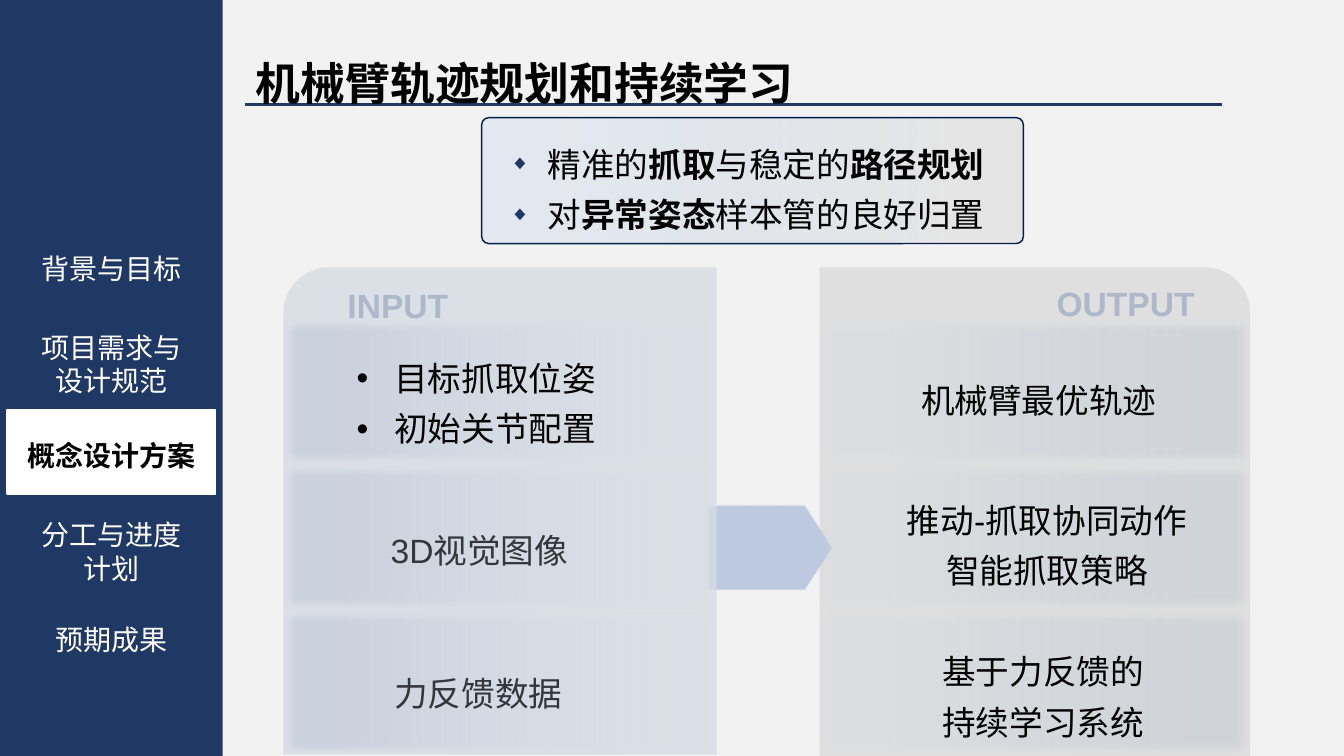
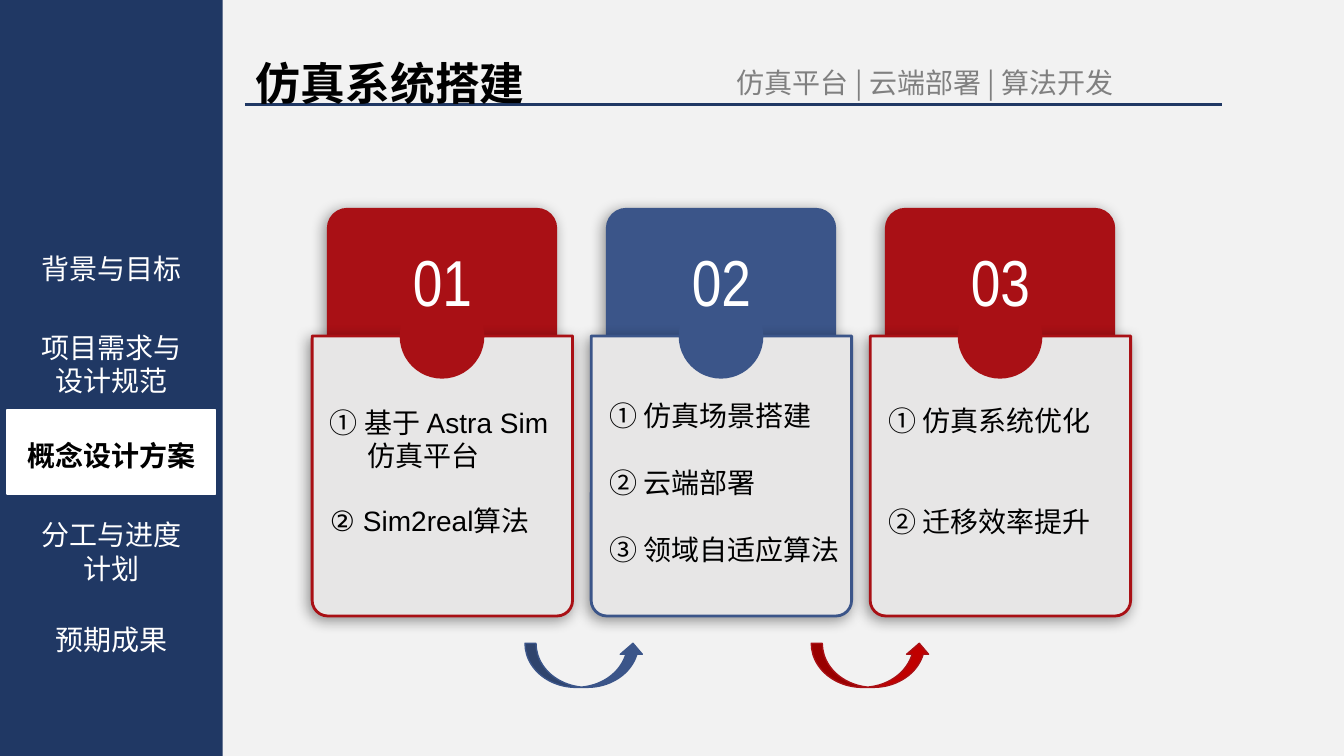
import lxml.etree
import pptx
import pptx.dml.color
import pptx.enum.shapes
import pptx.enum.text
import pptx.oxml.ns

Pt = pptx.util.Pt
RGB = pptx.dml.color.RGBColor
SHAPE = pptx.enum.shapes.MSO_SHAPE
ALIGN = pptx.enum.text.PP_ALIGN
qn = pptx.oxml.ns.qn
sub = lxml.etree.SubElement

NAVY = RGB(0x20, 0x38, 0x64)
DEEP = RGB(0x00, 0x20, 0x4C)
BLUE = RGB(0x3B, 0x55, 0x89)
SKY = RGB(0xB4, 0xC7, 0xE7)
ARROW = RGB(0xBD, 0xCA, 0xDF)
STEEL = RGB(0xAD, 0xB9, 0xCA)
PALE = RGB(0xD6, 0xDC, 0xE5)
RED = RGB(0xA9, 0x10, 0x15)
BRIGHT_RED = RGB(0xC0, 0x00, 0x00)
SILVER = RGB(0xDB, 0xDB, 0xDB)
CARD = RGB(0xE7, 0xE6, 0xE6)
BACK = RGB(0xF2, 0xF2, 0xF2)
GREY = RGB(0x80, 0x80, 0x80)
DIM = RGB(0x33, 0x37, 0x3C)
BLACK = RGB(0, 0, 0)
WHITE = RGB(255, 255, 255)
CJK = "Noto Sans CJK SC"


def panel(s, kind, box, fills, line=None, width=1, adj=(), soft=0, shadow=False):
    """Add a shape; fills holds one or two (colour, opacity in percent) pairs."""
    sp = s.shapes.add_shape(kind, *[Pt(v) for v in box])
    for i, value in enumerate(adj):
        sp.adjustments[i] = value
    if len(fills) == 1:
        sp.fill.solid()
        sp.fill.fore_color.rgb = fills[0][0]
    else:
        sp.fill.gradient()
        sp.fill.gradient_angle = 0
        for stop, (color, _), pos in zip(sp.fill.gradient_stops, fills, (0.14, 0.86)):
            stop.color.rgb = color
            stop.position = pos
    for clr, (_, opacity) in zip(list(sp.element.spPr.iter(qn("a:srgbClr"))), fills):
        if opacity < 100:
            sub(clr, qn("a:alpha"), val=str(opacity * 1000))
    if line is None:
        sp.line.fill.background()
    else:
        sp.line.color.rgb = line
        sp.line.width = Pt(width)
    sp.shadow.inherit = False
    effects = sp.element.spPr.find(qn("a:effectLst"))
    if shadow:
        outer = sub(effects, qn("a:outerShdw"), blurRad=str(Pt(10)), dist=str(Pt(3)),
                    dir="8100000", algn="tr", rotWithShape="0")
        clr = sub(outer, qn("a:srgbClr"), val="000000")
        sub(clr, qn("a:alpha"), val="40000")
    if soft:
        sub(effects, qn("a:softEdge"), rad=str(Pt(soft)))
    return sp


def write(s, box, paras, size=24, color=BLACK, pitch=36, font="Arial", bold=False,
          align=ALIGN.LEFT, hang=0, bullet=None, gap=0, ph=None):
    """Fill a placeholder (or a new text box); *stars* switch bold."""
    box = [Pt(v) for v in box]
    if ph is None:
        sp = s.shapes.add_textbox(*box)
    else:
        sp = s.placeholders[ph]
        sp.left, sp.top, sp.width, sp.height = box
        s.shapes.element.append(sp.element)
    tf = sp.text_frame
    tf.word_wrap = True
    tf.auto_size = pptx.enum.text.MSO_AUTO_SIZE.NONE
    tf.vertical_anchor = pptx.enum.text.MSO_ANCHOR.MIDDLE
    for i, text in enumerate(paras):
        p = tf.add_paragraph() if i else tf.paragraphs[0]
        pPr = p._p.get_or_add_pPr()
        pPr.set("marL", str(Pt(hang)))
        pPr.set("indent", str(-Pt(hang)))
        if bullet:
            char, clr, percent = bullet
            sub(sub(pPr, qn("a:buClr")), qn("a:srgbClr"), val=str(clr))
            sub(pPr, qn("a:buSzPct"), val=str(percent * 1000))
            sub(pPr, qn("a:buFont"), typeface="Arial")
            sub(pPr, qn("a:buChar"), char=char)
        else:
            sub(pPr, qn("a:buNone"))
        p.alignment = align
        p.line_spacing = Pt(pitch)
        p.space_before = Pt(gap if i else 0)
        p.space_after = Pt(0)
        for j, part in enumerate(text.split("*")):
            if part:
                r = p.add_run()
                r.text = part
                r.font.size = Pt(size)
                r.font.name = font
                r.font.bold = bold or j % 2 == 1
                r.font.color.rgb = color
                sub(r.font._element, qn("a:ea"), typeface=CJK)


prs = pptx.Presentation()
prs.slide_width, prs.slide_height = Pt(960), Pt(540)
bg = prs.slide_master.background.fill
bg.solid()
bg.fore_color.rgb = BACK

# Layout with a title and four bodies; its footers are not needed
layout = prs.slide_layouts[4]
for sp in list(layout.placeholders):
    if sp.placeholder_format.idx >= 10:
        layout.shapes.element.remove(sp.element)

# Slides with title and side navigation
NAV = [  # lines, middle, width
    (["背景与目标"], 191.5, 132),
    (["项目需求与", "设计规范"], 260, 132),
    (["概念设计方案"], 325, 146),
    (["分工与进度计划"], 394, 132),
    (["预期成果"], 457, 132),
]
CURRENT = 2
for title, width in (("机械臂轨迹规划和持续学习", 426), ("仿真系统搭建", 242)):
    s = prs.slides.add_slide(layout)
    write(s, (175.5, 33, width, 50), [title], 32, pitch=40, font=CJK, bold=True, ph=0)
    for i, (lines, middle, width) in enumerate(NAV):
        write(s, (79.5 - width / 2, middle - 28, width, 56), lines, 20,
              BLACK if i == CURRENT else WHITE, 24, CJK, i == CURRENT, ALIGN.CENTER)
plan, sim = prs.slides

# Band, marker and title rule belong to the layout
band = panel(plan, SHAPE.RECTANGLE, (0, 0, 159, 540), [(NAVY, 100)])
marker = panel(plan, SHAPE.RECTANGLE, (5, 293, 149, 60), [(WHITE, 100)], WHITE)
rule = plan.shapes.add_connector(pptx.enum.shapes.MSO_CONNECTOR.STRAIGHT,
                                 Pt(175), Pt(74.5), Pt(873), Pt(74.5))
rule.line.color.rgb = NAVY
rule.line.width = Pt(2.25)
sub(rule.element.spPr, qn("a:effectLst"))
for sp in (band, marker, rule):
    layout.shapes.element.append(sp.element)

# Slide 1: goal box, output panel, arrow, input panel
panel(plan, SHAPE.ROUNDED_RECTANGLE, (344, 84, 387, 90), [(SKY, 22), (SILVER, 51)],
      DEEP, adj=[0.058])
panel(plan, SHAPE.ROUND_1_RECTANGLE, (585.5, 191, 307.5, 349), [(SILVER, 80)], adj=[0.105])
panel(plan, SHAPE.PENTAGON, (506, 361, 89, 60), [(ARROW, 100)], PALE, adj=[0.33], soft=1)
sp = panel(plan, SHAPE.ROUND_1_RECTANGLE, (202.5, 191, 309.5, 348), [(PALE, 80)], adj=[0.105])
sp.element.spPr.xfrm.set("flipH", "1")
for left, fills in ((202.5, [(STEEL, 36), (PALE, 12)]), (587, [(PALE, 37), (STEEL, 28)])):
    for row in range(3):
        panel(plan, SHAPE.ROUNDED_RECTANGLE, (left, 228 + 104 * row, 306, 104), fills,
              adj=[0.048], soft=5)

# Slide 1: labels and lists
write(plan, (241, 194, 181, 40), ["INPUT"], color=STEEL, bold=True, ph=1)
write(plan, (747.5, 193, 151, 40), ["OUTPUT"], color=STEEL, bold=True, ph=3)
write(plan, (357, 93.5, 363, 76),
      ["精准的*抓取*与稳定的*路径规划*", "对*异常姿态*样本管的良好归置"],
      hang=27, bullet=("◆", NAVY, 60), ph=4)
write(plan, (247.5, 246.5, 212, 76), ["目标抓取位姿", "初始关节配置"],
      hang=27, bullet=("•", BLACK, 100), ph=2)
write(plan, (272, 369, 181, 40), ["3D视觉图像"], color=DIM)
write(plan, (274.5, 471.5, 181, 40), ["力反馈数据"], color=DIM)
write(plan, (641, 262, 202, 40), ["机械臂最优轨迹"], align=ALIGN.CENTER)
write(plan, (636.5, 347.5, 222.5, 76), ["推动-抓取协同动作智能抓取策略"], align=ALIGN.CENTER)
write(plan, (666, 456, 181, 76), ["基于力反馈的持续学习系统"])

# Slide 2: subtitle and three cards
write(sim, (519, 43, 410, 31), ["仿真平台 | 云端部署 | 算法开发"], 20, GREY, 24, CJK, ph=1)
CARDS = [  # colour, list top, list height, gap, items
    (RED, 286, 101, 22, ["① 基于 Astra Sim仿真平台", "② Sim2real算法"]),
    (BLUE, 281, 127, 24, ["① 仿真场景搭建", "② 云端部署", "③ 领域自适应算法"]),
    (RED, 285, 103, 48, ["① 仿真系统优化", "② 迁移效率提升"]),
]
for i, (color, top, height, gap, items) in enumerate(CARDS):
    x = 223 + 199.3 * i
    panel(sim, SHAPE.ROUNDED_RECTANGLE, (x + 11, 149, 163.5, 150.5), [(color, 100)], color,
          adj=[0.093], shadow=True)
    panel(sim, SHAPE.ROUND_2_SAME_RECTANGLE, (x, 240, 186, 200), [(CARD, 100)], color, 2,
          adj=[0, 0.06], shadow=True)
    panel(sim, SHAPE.OVAL, (x + 62.5, 210, 60.5, 60.5), [(color, 100)])
    write(sim, (x + 44, 169, 98, 64), [f"0{i + 1}"], 46.4, WHITE, 54, "Arial Narrow",
          align=ALIGN.CENTER)
    write(sim, (x + 5.5, top, 185, height), items, 20, pitch=24, hang=27, gap=gap, ph=i + 2)

# Slide 2: arrows between the cards
for left, fill, line in ((375, BLUE, BLUE), (579.5, BRIGHT_RED, RED)):
    panel(sim, SHAPE.CURVED_UP_ARROW, (left, 459.5, 85, 31.5), [(fill, 100)], line)

prs.save("out.pptx")
